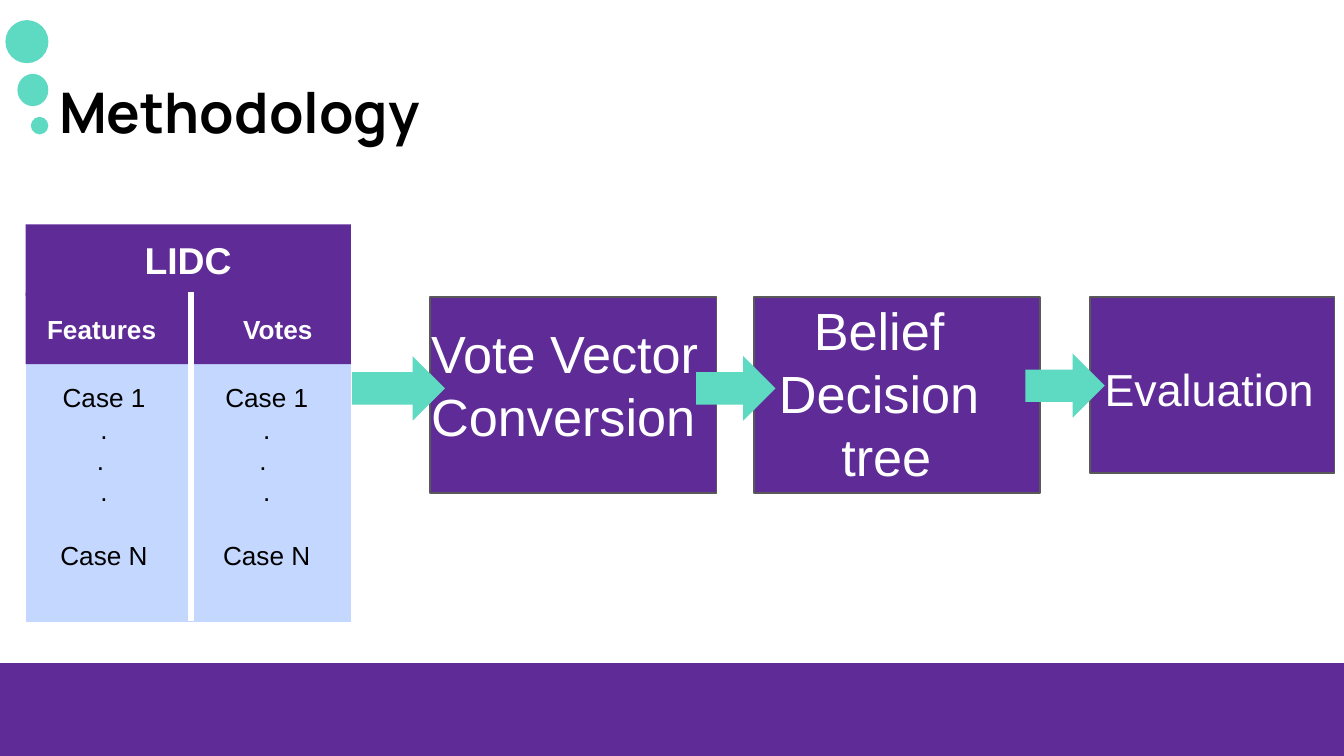
from dataclasses import dataclass

from lxml.etree import SubElement
from pptx import Presentation
from pptx.dml.color import RGBColor
from pptx.enum.shapes import MSO_CONNECTOR, MSO_SHAPE
from pptx.enum.text import MSO_ANCHOR, MSO_AUTO_SIZE, PP_ALIGN
from pptx.oxml.ns import qn
from pptx.util import Inches, Pt

PURPLE, TEAL, PALE = "5E2B97", "5FDAC2", "C4D7FF"
WHITE, BLACK, GREY = "FFFFFF", "000000", "595959"


@dataclass
class Box:
    """Left, top, width and height in inches."""
    x: float
    y: float
    w: float
    h: float

    def emu(self) -> tuple:
        """Return the box as lengths."""
        return tuple(Inches(v) for v in (self.x, self.y, self.w, self.h))


@dataclass
class Step:
    """A stage of the process with its label."""
    box: Box
    label: Box
    text: str
    size: int
    align: PP_ALIGN = PP_ALIGN.LEFT


STEPS = [
    Step(Box(3.2, 2.21, 2.13, 1.46), Box(3.11, 2.29, 2.32, 1.1),
         "Vote Vector Conversion", 28),
    Step(Box(5.61, 2.21, 2.13, 1.46), Box(5.66, 2.12, 1.87, 0.94),
         "Belief \nDecision \ntree", 28, PP_ALIGN.CENTER),
    Step(Box(8.11, 2.21, 1.82, 1.31), Box(8.12, 2.59, 1.82, 0.54),
         "Evaluation", 24),
]
DOTS = [Box(0.23, 0.87, 0.13, 0.13), Box(0.13, 0.55, 0.23, 0.24),
        Box(0.04, 0.15, 0.32, 0.32)]
ARROWS = [Box(7.63, 2.63, 0.59, 0.48), Box(5.18, 2.65, 0.59, 0.48),
          Box(2.62, 2.65, 0.69, 0.48)]
CASES = [Box(0.31, 2.74, 0.93, 1.93), Box(1.55, 2.74, 0.87, 1.93)]


def rgb(color: str) -> RGBColor:
    """Turn a hex string into a colour."""
    return RGBColor.from_string(color)


def write(sp, text: str, *, size: float, color: str, font: str = "Arial",
          bold: bool = False, align: PP_ALIGN = PP_ALIGN.LEFT,
          anchor: MSO_ANCHOR = MSO_ANCHOR.TOP, inset: float = 0.1,
          tab: float = 0, last_gap: float = 0):
    """Fill a shape with formatted text, one paragraph per line."""
    tf = sp.text_frame
    tf.word_wrap = True
    tf.auto_size = MSO_AUTO_SIZE.NONE
    tf.vertical_anchor = anchor
    tf.margin_left = Inches(inset)
    tf.margin_right = tf.margin_top = tf.margin_bottom = Inches(0.1)
    tf.text = text
    for p in tf.paragraphs:
        p.alignment = align
        if tab:
            tabs = SubElement(p._p.get_or_add_pPr(), qn("a:tabLst"))
            SubElement(tabs, qn("a:tab"), pos=str(Inches(tab)), algn="l")
        for r in p.runs:
            r.font.name = font
            r.font.size = Pt(size)
            r.font.bold = bold
            r.font.color.rgb = rgb(color)
    if last_gap:
        tf.paragraphs[-1].space_before = Pt(last_gap)


def add_box(s, box: Box, fill: str, line: str = "",
            kind: MSO_SHAPE = MSO_SHAPE.RECTANGLE):
    """Draw a filled preset shape, outlined if a line colour is given."""
    sp = s.shapes.add_shape(kind, *box.emu())
    sp.shadow.inherit = False
    sp.fill.solid()
    sp.fill.fore_color.rgb = rgb(fill)
    if line:
        sp.line.color.rgb = rgb(line)
        sp.line.width = Pt(0.75)
    else:
        sp.line.fill.background()
    return sp


def add_label(s, box: Box, text: str, **fmt):
    """Add a text box with formatted text."""
    write(s.shapes.add_textbox(*box.emu()), text, **fmt)


def add_step(s, step: Step):
    """Draw one stage and its label."""
    add_box(s, step.box, PURPLE, GREY)
    add_label(s, step.label, step.text, size=step.size, color=WHITE,
              align=step.align)


def add_dataset(s):
    """Draw the data set panel with its headers, cases and divider."""
    add_box(s, Box(0.19, 2.17, 2.42, 2.46), PALE,
            kind=MSO_SHAPE.FLOWCHART_PROCESS)
    head = add_box(s, Box(0.19, 1.67, 2.42, 0.53), PURPLE)
    write(head, "LIDC", size=20, color=WHITE, bold=True,
          align=PP_ALIGN.CENTER, anchor=MSO_ANCHOR.MIDDLE)
    columns = add_box(s, Box(0.19, 2.18, 2.42, 0.53), PURPLE)
    write(columns, "Features\tVotes", size=14, color=WHITE, bold=True,
          anchor=MSO_ANCHOR.MIDDLE, inset=0.16, tab=1.46)
    for box in CASES:
        add_label(s, box, "Case 1\n.\n. \n.\nCase N", size=14, color=BLACK,
                  align=PP_ALIGN.CENTER, last_gap=17)
    divider = s.shapes.add_connector(
        MSO_CONNECTOR.STRAIGHT, Inches(1.42), Inches(2.17),
        Inches(1.42), Inches(4.62))
    divider.line.color.rgb = rgb(WHITE)
    divider.line.width = Pt(3)
    SubElement(divider._element.spPr, qn("a:effectLst"))


def main():
    """Build and save the slide."""
    prs = Presentation()
    prs.slide_width, prs.slide_height = Inches(10), Inches(10 * 9 / 16)
    s = prs.slides.add_slide(prs.slide_layouts[5])
    title = s.shapes.title
    title.left, title.top, title.width, title.height = Box(
        0.34, 0.49, 9.32, 0.68).emu()
    write(title, "Methodology", size=30, color=BLACK, font="Manrope",
          bold=True, anchor=MSO_ANCHOR.MIDDLE)
    add_box(s, Box(-0.06, 4.94, 10.13, 0.68), PURPLE, PURPLE)
    for step in STEPS:
        add_step(s, step)
    for box in DOTS:
        add_box(s, box, TEAL, kind=MSO_SHAPE.OVAL)
    add_dataset(s)
    for box in ARROWS:
        add_box(s, box, TEAL, kind=MSO_SHAPE.RIGHT_ARROW)
    prs.save("out.pptx")


if __name__ == "__main__":
    main()
